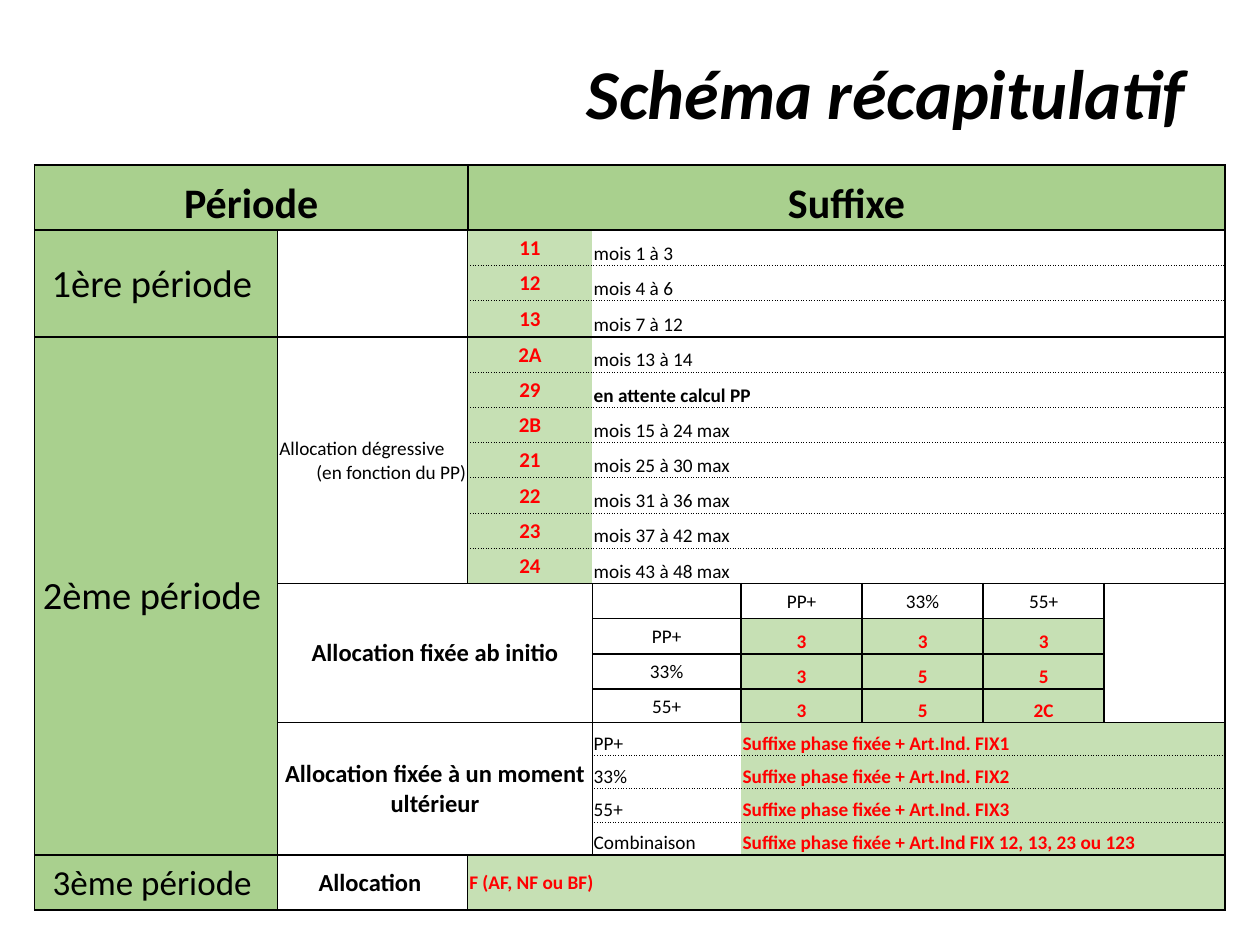
import lxml.etree
import pptx
import pptx.dml.color
import pptx.enum.text
import pptx.oxml.ns
import pptx.util

Cm, Pt = pptx.util.Cm, pptx.util.Pt
RGB = pptx.dml.color.RGBColor
ALIGN, ANCHOR = pptx.enum.text.PP_ALIGN, pptx.enum.text.MSO_ANCHOR
LEFT, CENTER, RIGHT = ALIGN.LEFT, ALIGN.CENTER, ALIGN.RIGHT
MIDDLE, BOTTOM = ANCHOR.MIDDLE, ANCHOR.BOTTOM
qn = pptx.oxml.ns.qn

BLACK = RGB(0x00, 0x00, 0x00)
RED = RGB(0xFF, 0x00, 0x00)
GREY = RGB(0x8C, 0x8C, 0x8C)
GREEN = RGB(0xA9, 0xD0, 0x8E)
PALE_GREEN = RGB(0xC6, 0xE0, 0xB4)

NO_GRID_STYLE = "{2D5ABB26-0587-4C30-8999-92F81FD0307C}"
# Border codes, given in the order left, top, right, bottom
BORDERS = {"1": (1, "solid"), "h": (0.5, "solid"), ".": (0.5, "dot")}


class SlideBuilder:
    font_name = "Calibri"

    def __init__(self, slide):
        self.slide = slide

    def fill_paragraph(self, paragraph, text, align=LEFT, **format_values):
        paragraph.alignment = align
        run = paragraph.add_run()
        run.text = text
        run.font.color.rgb = format_values.pop("color", BLACK)
        for name, value in {"name": self.font_name, **format_values}.items():
            setattr(run.font, name, value)

    def text(self, left, top, width, height, text, **format_values):
        frame = self.slide.shapes.add_textbox(
            Cm(left), Cm(top), Cm(width), Cm(height)).text_frame
        frame.word_wrap = True
        frame.vertical_anchor = MIDDLE
        self.fill_paragraph(frame.paragraphs[0], text, **format_values)

    def table(self, left, top, widths, heights):
        table = self.slide.shapes.add_table(
            len(heights), len(widths), Cm(left), Cm(top),
            Cm(sum(widths)), Cm(sum(heights))).table
        table.first_row = table.horz_banding = False
        table._tbl.tblPr.find(qn("a:tableStyleId")).text = NO_GRID_STYLE
        for column, width in zip(table.columns, widths):
            column.width = Cm(width)
        for row, height in zip(table.rows, heights):
            row.height = Cm(height)
        # Small margins and text keep the empty cells within their rows
        layout = {"margin_left": Cm(0.03), "margin_right": Cm(0.03),
                  "margin_top": Cm(0.03), "margin_bottom": 0}
        for cell in table.iter_cells():
            for name, value in layout.items():
                setattr(cell, name, value)
            cell.fill.background()
            end = cell.text_frame.paragraphs[0]._p.get_or_add_endParaRPr()
            end.set("sz", "1100")
        self.grid = table

    def cell(self, row, col, text="", borders="1111", span=(1, 1), fill=None,
             anchor=MIDDLE, align=CENTER, size=11, **format_values):
        cell = self.grid.cell(row, col)
        if span != (1, 1):
            cell.merge(self.grid.cell(row + span[0] - 1, col + span[1] - 1))
        cell.vertical_anchor = anchor
        if fill is not None:
            cell.fill.solid()
            cell.fill.fore_color.rgb = fill
        if text:
            self.fill_paragraph(cell.text_frame.paragraphs[0], text, align,
                                size=Pt(size), **format_values)
        self.borders(cell, borders)
        return cell

    def borders(self, cell, codes):
        properties = cell._tc.get_or_add_tcPr()
        sides = dict(zip("LTRB", codes))
        for position, side in enumerate("LRTB"):
            line = lxml.etree.Element(qn(f"a:ln{side}"))
            properties.insert(position, line)
            if sides[side] == "-":
                line.set("w", "0")
                lxml.etree.SubElement(line, qn("a:noFill"))
                continue
            width, dash = BORDERS[sides[side]]
            line.set("w", str(int(Pt(width))))
            paint = lxml.etree.SubElement(line, qn("a:solidFill"))
            lxml.etree.SubElement(paint, qn("a:srgbClr")).set("val", str(BLACK))
            lxml.etree.SubElement(line, qn("a:prstDash")).set("val", dash)


def edges(index, count, first, last):
    """Top and bottom border codes of a row in a dotted block."""
    return first if index == 0 else ".", last if index == count - 1 else "."


def add_suffixes(builder, first_row, suffixes, last_border):
    for i, (suffix, months) in enumerate(suffixes):
        top, bottom = edges(i, len(suffixes), "1", last_border)
        builder.cell(first_row + i, 2, suffix, f"h{top}-{bottom}",
                     fill=PALE_GREEN, size=12, color=RED, bold=True)
        builder.cell(first_row + i, 3, months, f"-{top}1{bottom}", (1, 5),
                     anchor=BOTTOM, align=LEFT, bold=months.startswith("en"))


def main():
    deck = pptx.Presentation()
    deck.slide_width, deck.slide_height = Cm(25.4), Cm(19.05)
    builder = SlideBuilder(deck.slides.add_slide(deck.slide_layouts[6]))

    # Title and page number
    builder.text(1.27, 0.38, 22.86, 2.95, "Schéma récapitulatif", align=RIGHT,
                 size=Pt(40), bold=True, italic=True)
    builder.text(18.2, 17.65, 5.93, 1.02, "30", align=RIGHT,
                 size=Pt(12), color=GREY)

    # Grid and headings
    builder.table(0.7, 3.33, [4.9, 3.83, 2.51, 3] + [2.44] * 4,
                  [1.31] + [0.71] * 2 + [0.73] + [0.71] * 10 + [0.67] * 5 + [1.1])
    for col, columns, heading in ((0, 2, "Période"), (2, 6, "Suffixe")):
        builder.cell(0, col, heading, span=(1, columns), fill=GREEN,
                     anchor=BOTTOM, size=24, bold=True)

    # Periods
    for row, rows, size, period in ((1, 3, 22, "1ère période "),
                                    (4, 15, 22, "2ème période "),
                                    (19, 1, 20, "3ème période ")):
        builder.cell(row, 0, period, "11h1", (rows, 1), GREEN, size=size)

    # First period
    builder.cell(1, 1, borders="h1h1", span=(3, 1))
    add_suffixes(builder, 1, [("11", "mois 1 à 3"), ("12", "mois 4 à 6"),
                              ("13", "mois 7 à 12")], "1")

    # Second period: degressive allowance
    degressive = builder.cell(4, 1, "Allocation dégressive", "h1hh", (7, 1),
                              align=LEFT)
    builder.fill_paragraph(degressive.text_frame.add_paragraph(),
                           "(en fonction du PP)", RIGHT, size=Pt(11))
    add_suffixes(builder, 4, [
        ("2A", "mois 13 à 14"), ("29", "en attente calcul PP"),
        ("2B", "mois 15 à 24 max"), ("21", "mois 25 à 30 max"),
        ("22", "mois 31 à 36 max"), ("23", "mois 37 à 42 max"),
        ("24", "mois 43 à 48 max")], "h")

    # Second period: allowance fixed from the start
    builder.cell(11, 1, "Allocation fixée ab initio", "hhhh", (4, 2),
                 size=14, bold=True)
    categories = ["PP+", "33%", "55+"]
    builder.cell(11, 3, borders="hh11")
    builder.cell(11, 7, borders="1h1-")
    for i, category in enumerate(categories):
        builder.cell(11, 4 + i, category, "1h11")
    combinations = [["3", "3", "3"], ["3", "5", "5"], ["3", "5", "2C"]]
    for i, (category, codes) in enumerate(zip(categories, combinations)):
        last = i == len(categories) - 1
        bottom = "h" if last else "1"
        builder.cell(12 + i, 3, category, f"h11{bottom}")
        for j, code in enumerate(codes):
            builder.cell(12 + i, 4 + j, code, f"111{bottom}", fill=PALE_GREEN,
                         anchor=BOTTOM, color=RED, bold=True)
        builder.cell(12 + i, 7, borders="1-1h" if last else "1-1-")

    # Second period: allowance fixed later
    builder.cell(15, 1, "Allocation fixée à un moment ultérieur", "hhh1",
                 (4, 2), size=14, bold=True)
    articles = ["Art.Ind. FIX1", "Art.Ind. FIX2", "Art.Ind. FIX3",
                "Art.Ind FIX 12, 13, 23 ou 123"]
    for i, (category, article) in enumerate(
            zip(categories + ["Combinaison"], articles)):
        top, bottom = edges(i, len(articles), "h", "1")
        builder.cell(15 + i, 3, category, f"h{top}-{bottom}",
                     anchor=BOTTOM, align=LEFT)
        builder.cell(15 + i, 4, f"Suffixe phase fixée + {article}",
                     f"-{top}1{bottom}", (1, 4), PALE_GREEN, BOTTOM, LEFT,
                     color=RED, bold=True)

    # Third period
    builder.cell(19, 1, "Allocation ", "h1h1", size=14, bold=True)
    builder.cell(19, 2, "F (AF, NF ou BF)", "h111", (1, 6), PALE_GREEN,
                 align=LEFT, color=RED, bold=True)

    deck.save("out.pptx")


if __name__ == "__main__":
    main()
